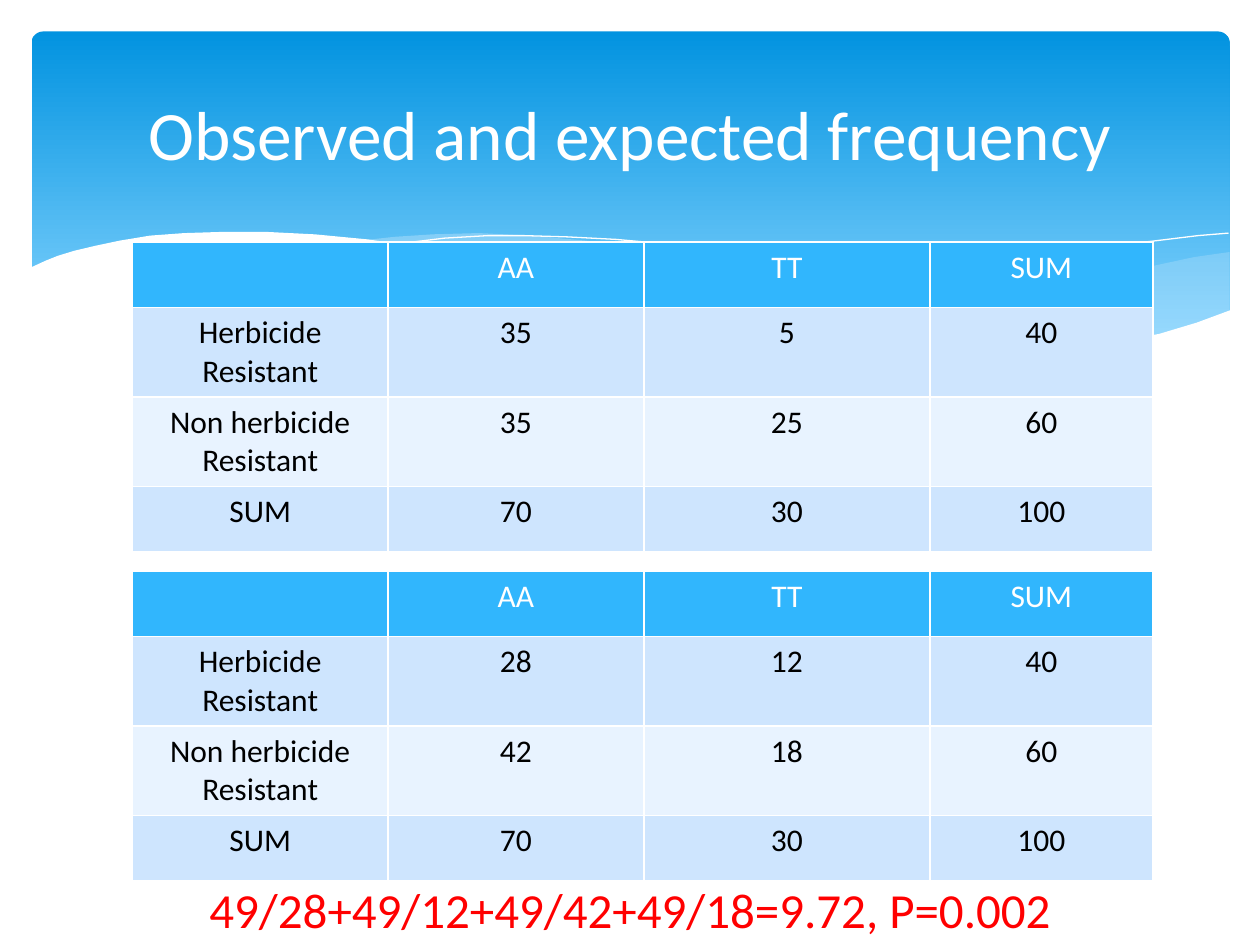
from lxml.etree import SubElement
from pptx import Presentation
from pptx.dml.color import RGBColor
from pptx.enum.shapes import MSO_SHAPE
from pptx.enum.text import MSO_ANCHOR, PP_ALIGN
from pptx.oxml.ns import qn
from pptx.util import Inches, Pt

WHITE = RGBColor(0xFF, 0xFF, 0xFF)
BLACK = RGBColor(0x00, 0x00, 0x00)
RED = RGBColor(0xFF, 0x00, 0x00)
SKY_TOP = RGBColor(0x02, 0x93, 0xE0)
SKY_BOTTOM = RGBColor(0x83, 0xD3, 0xFE)
MIST = RGBColor(0xC6, 0xE7, 0xFC)
HEADER = RGBColor(0x31, 0xB6, 0xFD)
BANDS = (RGBColor(0xCE, 0xE5, 0xFE), RGBColor(0xE8, 0xF3, 0xFF))
FONT = "Calibri"

TITLE = "Observed and expected frequency"
RESULT = "49/28+49/12+49/42+49/18=9.72, P=0.002"
COLUMNS = ("", "AA", "TT", "SUM")
ROWS = ("Herbicide Resistant", "Non herbicide\nResistant", "SUM")
OBSERVED = ((35, 5, 40), (35, 25, 60), (70, 30, 100))
EXPECTED = ((28, 12, 40), (42, 18, 60), (70, 30, 100))

TABLE_LEFT = 1.05
COLUMN_WIDTHS = (2.03, 2.03, 2.27, 1.77)
ROW_HEIGHTS = (0.52, 0.71, 0.71, 0.52)
TABLE_TOPS = (1.92, 4.53)

# Wave outlines in inches
RIGHT_WAVE = [
    (9.76, 2), (9.48, 2.04), (9.06, 2.13), (8.61, 2.23), (8.05, 2.37),
    (7.53, 2.48), (7.06, 2.57), (6.61, 2.65), (6.91, 2.69), (7.32, 2.74),
    (7.69, 2.77), (8.14, 2.78), (8.54, 2.76), (8.89, 2.72), (9.21, 2.65),
    (9.49, 2.57), (9.76, 2.47)]
LONG_WAVE = [
    (8.93, 2.73), (8.37, 2.65), (7.75, 2.54), (7.06, 2.4), (6.29, 2.22),
    (5.84, 2.11), (5.41, 2.03), (5.02, 1.96), (4.65, 1.91), (4.2, 1.87),
    (3.8, 1.85), (3.44, 1.86), (3.13, 1.88), (2.86, 1.91), (3.23, 1.96),
    (3.62, 2.03), (4.04, 2.11), (4.49, 2.22), (5.3, 2.4), (6.01, 2.55),
    (6.65, 2.66), (7.22, 2.74), (7.73, 2.77), (8.18, 2.78), (8.57, 2.77)]
LONG_CREST = [
    (3.09, 1.95), (3.28, 1.92), (3.53, 1.89), (3.87, 1.87), (4.16, 1.87),
    (4.5, 1.88), (4.89, 1.9), (5.33, 1.94), (5.82, 2), (6.36, 2.08),
    (6.95, 2.19), (7.6, 2.33), (8.31, 2.51), (9.07, 2.72)]
RIGHT_CREST = [
    (6.13, 2.57), (6.53, 2.46), (6.95, 2.35), (7.48, 2.23), (8.06, 2.1),
    (8.66, 1.99), (9.1, 1.92), (9.51, 1.87), (9.75, 1.85)]
WHITE_WAVE = [
    (9.77, 2.46), (9.5, 2.56), (9.2, 2.65), (8.87, 2.71), (8.5, 2.75),
    (8.09, 2.77), (7.61, 2.75), (7.08, 2.7), (6.48, 2.62), (5.79, 2.5),
    (5.29, 2.39), (4.47, 2.2), (3.91, 2.07), (3.4, 1.97), (2.92, 1.9),
    (2.5, 1.86), (2.11, 1.84), (1.77, 1.84), (1.46, 1.85), (1.19, 1.87),
    (0.95, 1.91), (0.76, 1.95), (0.59, 1.99), (0.46, 2.03), (0.36, 2.07),
    (0.23, 2.13), (0.23, 3.29), (9.77, 3.29)]


def add_outline(slide, points, closed):
    start, *rest = [(Inches(x), Inches(y)) for x, y in points]
    builder = slide.shapes.build_freeform(*start)
    builder.add_line_segments(rest, close=closed)
    shape = builder.convert_to_shape()
    shape.shadow.inherit = False
    return shape


def add_wave(slide, points, color, opacity=100):
    wave = add_outline(slide, points, True)
    wave.line.fill.background()
    wave.fill.solid()
    wave.fill.fore_color.rgb = color
    if opacity < 100:
        color_xml = wave.fill._xPr.find(qn("a:solidFill"))[0]
        SubElement(color_xml, qn("a:alpha"), val=str(opacity * 1000))


def add_crest(slide, points):
    crest = add_outline(slide, points, False)
    crest.fill.background()
    crest.line.color.rgb = WHITE
    crest.line.width = Pt(0)


def add_backdrop(slide):
    sky = slide.shapes.add_shape(MSO_SHAPE.ROUNDED_RECTANGLE, Inches(0.25),
                                 Inches(0.25), Inches(9.51), Inches(2.7))
    sky.adjustments[0] = 0.034
    sky.shadow.inherit = False
    sky.line.fill.background()
    sky.fill.gradient()
    sky.fill.gradient_angle = 270
    for stop, position, color in zip(sky.fill.gradient_stops, (0, 0.9),
                                     (SKY_TOP, SKY_BOTTOM)):
        stop.position = position
        stop.color.rgb = color
    add_wave(slide, RIGHT_WAVE, MIST, 29)
    add_wave(slide, LONG_WAVE, MIST, 40)
    add_crest(slide, LONG_CREST)
    add_crest(slide, RIGHT_CREST)
    add_wave(slide, WHITE_WAVE, WHITE)


def write(frame, text, size, color):
    frame.text = text
    for paragraph in frame.paragraphs:
        paragraph.alignment = PP_ALIGN.CENTER
        font = paragraph.font
        font.name, font.size, font.bold = FONT, Pt(size), False
        font.color.rgb = color


def add_frequency_table(slide, top, counts):
    content = [COLUMNS] + [(label, *row) for label, row in zip(ROWS, counts)]
    table = slide.shapes.add_table(
        len(content), len(COLUMNS), Inches(TABLE_LEFT), Inches(top),
        Inches(sum(COLUMN_WIDTHS)), Inches(sum(ROW_HEIGHTS))).table
    for column, width in zip(table.columns, COLUMN_WIDTHS):
        column.width = Inches(width)
    for r, values in enumerate(content):
        table.rows[r].height = Inches(ROW_HEIGHTS[r])
        for c, value in enumerate(values):
            cell = table.cell(r, c)
            cell.fill.solid()
            cell.fill.fore_color.rgb = BANDS[(r - 1) % 2] if r else HEADER
            write(cell.text_frame, str(value), 18, BLACK if r else WHITE)


def place_title(slide):
    title = slide.shapes.title
    title.left, title.top = Inches(0.5), Inches(0.37)
    title.width, title.height = Inches(9), Inches(1.37)
    title.text_frame.vertical_anchor = MSO_ANCHOR.MIDDLE
    write(title.text_frame, TITLE, 39.6, WHITE)
    slide.shapes._spTree.append(title._element)  # in front of the backdrop


def add_result(slide):
    result = slide.shapes.add_textbox(Inches(1.56), Inches(6.93),
                                      Inches(6.88), Inches(0.57))
    result.text_frame.word_wrap = True
    write(result.text_frame, RESULT, 28, RED)


def main():
    deck = Presentation()
    deck.slide_width, deck.slide_height = Inches(10), Inches(7.5)
    slide = deck.slides.add_slide(deck.slide_layouts[5])
    add_backdrop(slide)
    place_title(slide)
    for top, counts in zip(TABLE_TOPS, (OBSERVED, EXPECTED)):
        add_frequency_table(slide, top, counts)
    add_result(slide)
    deck.save("out.pptx")


if __name__ == "__main__":
    main()
